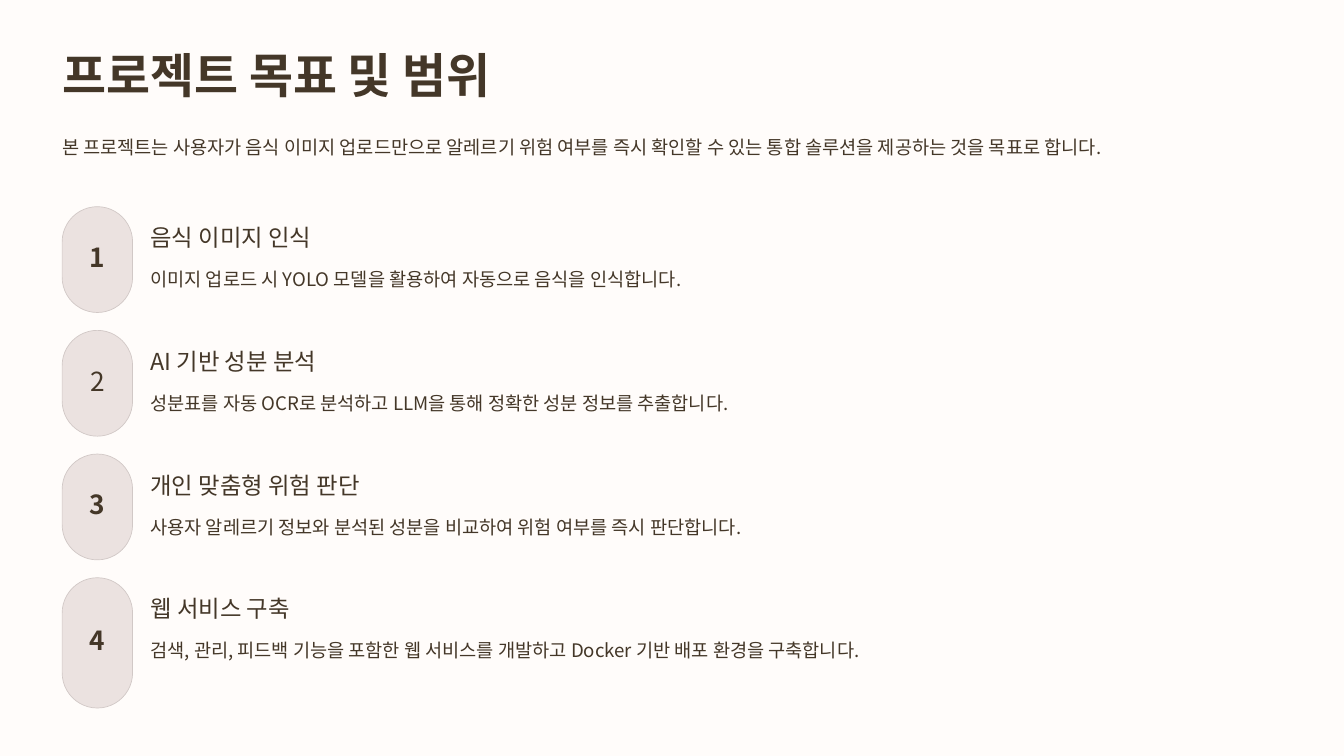
import pptx
import pptx.dml.color
import pptx.enum.shapes
import pptx.enum.text
import pptx.util
from lxml import etree
from pptx.oxml.ns import qn

Cm, Pt = pptx.util.Cm, pptx.util.Pt
RGBColor = pptx.dml.color.RGBColor
ALIGN = pptx.enum.text.PP_ALIGN
ANCHOR = pptx.enum.text.MSO_ANCHOR

CREAM = RGBColor(0xFF, 0xFC, 0xFA)
BROWN = RGBColor(0x44, 0x37, 0x28)
PILL = RGBColor(0xEB, 0xE2, 0xE0)
PILL_EDGE = RGBColor(0xD1, 0xC8, 0xC6)
FONT = "Noto Sans CJK KR"

# Text styles: size, line spacing, bold
TITLE = (41, 47, True)
BODY = (16, 24, False)
HEADING = (20, 23.5, False)
NUMBER = (22.5, 22.5, True)
NUMBER_PLAIN = (22.5, 22.5, False)

# Layout in centimetres
MARGIN, TEXT_LEFT = 1.88, 4.55
FIRST_TOP, PITCH = 6.25, 3.74
PILL_WIDTH, PILL_HEIGHT, LAST_HEIGHT = 2.13, 3.2, 3.94
NUMBER_WIDTH, NUMBER_HEIGHT = 0.81, 1.0

GOALS = [
    ("음식 이미지 인식",
     "이미지 업로드 시 YOLO 모델을 활용하여 자동으로 음식을 인식합니다."),
    ("AI 기반 성분 분석",
     "성분표를 자동 OCR로 분석하고 LLM을 통해 정확한 성분 정보를 추출합니다."),
    ("개인 맞춤형 위험 판단",
     "사용자 알레르기 정보와 분석된 성분을 비교하여 위험 여부를 즉시 판단합니다."),
    ("웹 서비스 구축",
     "검색, 관리, 피드백 기능을 포함한 웹 서비스를 개발하고 Docker 기반 배포 환경을 구축합니다."),
]


def set_values(target, values):
    for name, value in values.items():
        setattr(target, name, value)


class SlideBuilder:
    def __init__(self, slide):
        self.slide = slide
        self.slide.background.fill.solid()
        self.slide.background.fill.fore_color.rgb = CREAM

    def set_text(self, box, text, style, align=ALIGN.LEFT, anchor=ANCHOR.TOP, wrap=False):
        size, spacing, bold = style
        frame = box.text_frame
        set_values(frame, {"margin_left": 0, "margin_right": 0, "margin_top": 0,
                           "margin_bottom": 0, "word_wrap": wrap, "vertical_anchor": anchor,
                           "auto_size": pptx.enum.text.MSO_AUTO_SIZE.NONE})
        para = frame.paragraphs[0]
        set_values(para, {"alignment": align, "line_spacing": Pt(spacing),
                          "space_before": Pt(0)})
        span = para.add_run()
        span.text = text
        set_values(span.font, {"name": FONT, "size": Pt(size), "bold": bold})
        span.font.color.rgb = BROWN
        # Hangul takes its typeface from the East Asian slot
        latin = span._r.get_or_add_rPr().find(qn("a:latin"))
        latin.addnext(etree.Element(qn("a:ea"), typeface=FONT))

    def placeholder(self, index, text, style, area, wrap=False):
        box = self.slide.placeholders[index]
        set_values(box, dict(zip(("left", "top", "width", "height"), map(Cm, area))))
        properties = box.text_frame.paragraphs[0]._p.get_or_add_pPr()
        properties.set("marL", "0")
        properties.set("indent", "0")
        etree.SubElement(properties, qn("a:buNone"))
        self.set_text(box, text, style, wrap=wrap)

    def label(self, text, style, area, **options):
        box = self.slide.shapes.add_textbox(*map(Cm, area))
        self.set_text(box, text, style, **options)

    def pill(self, area):
        shape = self.slide.shapes.add_shape(
            pptx.enum.shapes.MSO_SHAPE.ROUNDED_RECTANGLE, *map(Cm, area))
        shape.adjustments[0] = 0.5
        shape.shadow.inherit = False
        shape.fill.solid()
        shape.fill.fore_color.rgb = PILL
        shape.line.color.rgb = PILL_EDGE
        shape.line.width = Pt(0.6)

    def goal(self, number, heading, detail, last):
        top = FIRST_TOP + (number - 1) * PITCH
        height = LAST_HEIGHT if last else PILL_HEIGHT
        self.pill((MARGIN, top, PILL_WIDTH, height))
        self.label(str(number), NUMBER_PLAIN if number == 2 else NUMBER,
                   (MARGIN + (PILL_WIDTH - NUMBER_WIDTH) / 2,
                    top + (height - NUMBER_HEIGHT) / 2, NUMBER_WIDTH, NUMBER_HEIGHT),
                   align=ALIGN.CENTER, anchor=ANCHOR.MIDDLE)
        self.label(heading, HEADING, (TEXT_LEFT, top + 0.53, 6.68, 0.84))
        detail_size = (32.64, 1.7) if last else (19, 0.86)
        self.label(detail, BODY, (TEXT_LEFT, top + 1.69, *detail_size), wrap=last)


def main():
    deck = pptx.Presentation()
    deck.slide_width, deck.slide_height = Cm(40.64), Cm(22.86)
    page = SlideBuilder(deck.slides.add_slide(deck.slide_layouts[1]))

    # Title and introduction
    page.placeholder(0, "프로젝트 목표 및 범위", TITLE, (MARGIN, 1.47, 13.36, 1.68))
    page.placeholder(
        1, "본 프로젝트는 사용자가 음식 이미지 업로드만으로 알레르기 위험 여부를 즉시 "
        "확인할 수 있는 통합 솔루션을 제공하는 것을 목표로 합니다.",
        BODY, (MARGIN, 3.94, 37.44, 1.7), wrap=True)

    # Numbered goals
    for number, (heading, detail) in enumerate(GOALS, 1):
        page.goal(number, heading, detail, last=number == len(GOALS))

    deck.save("out.pptx")


if __name__ == "__main__":
    main()
